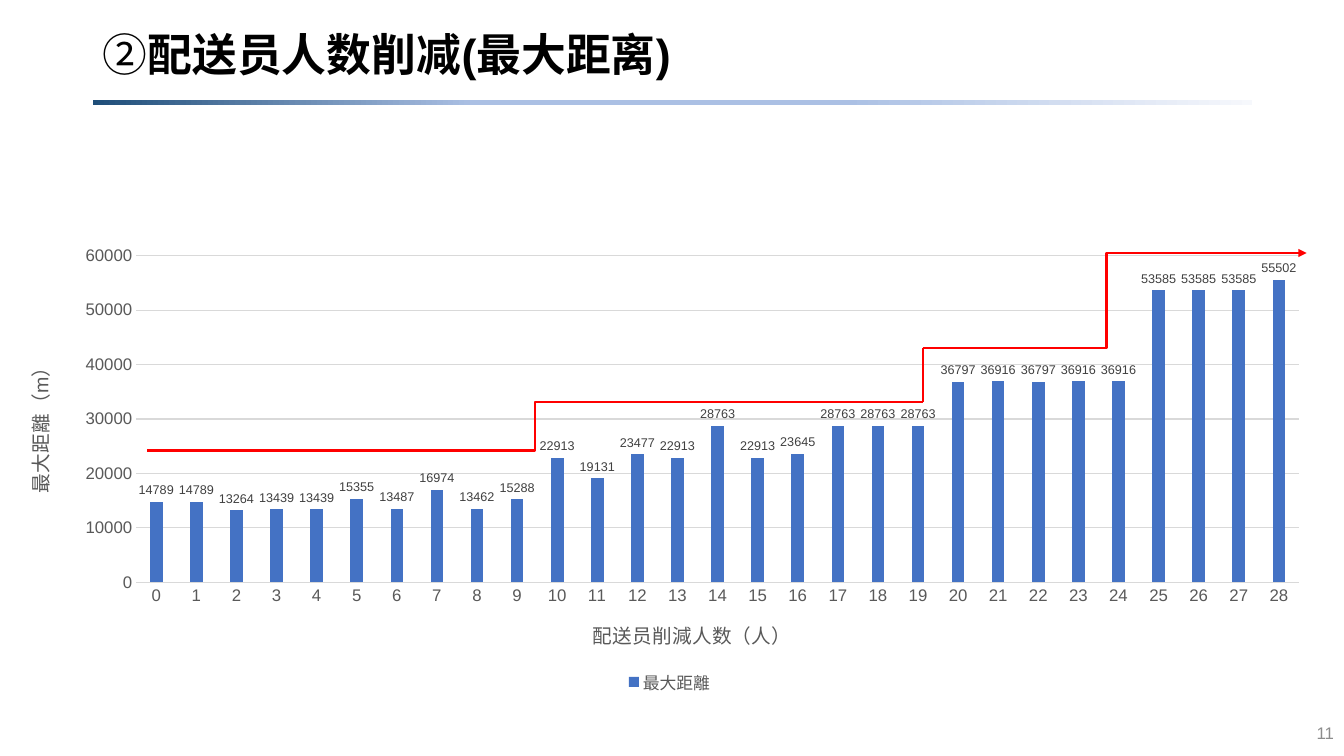
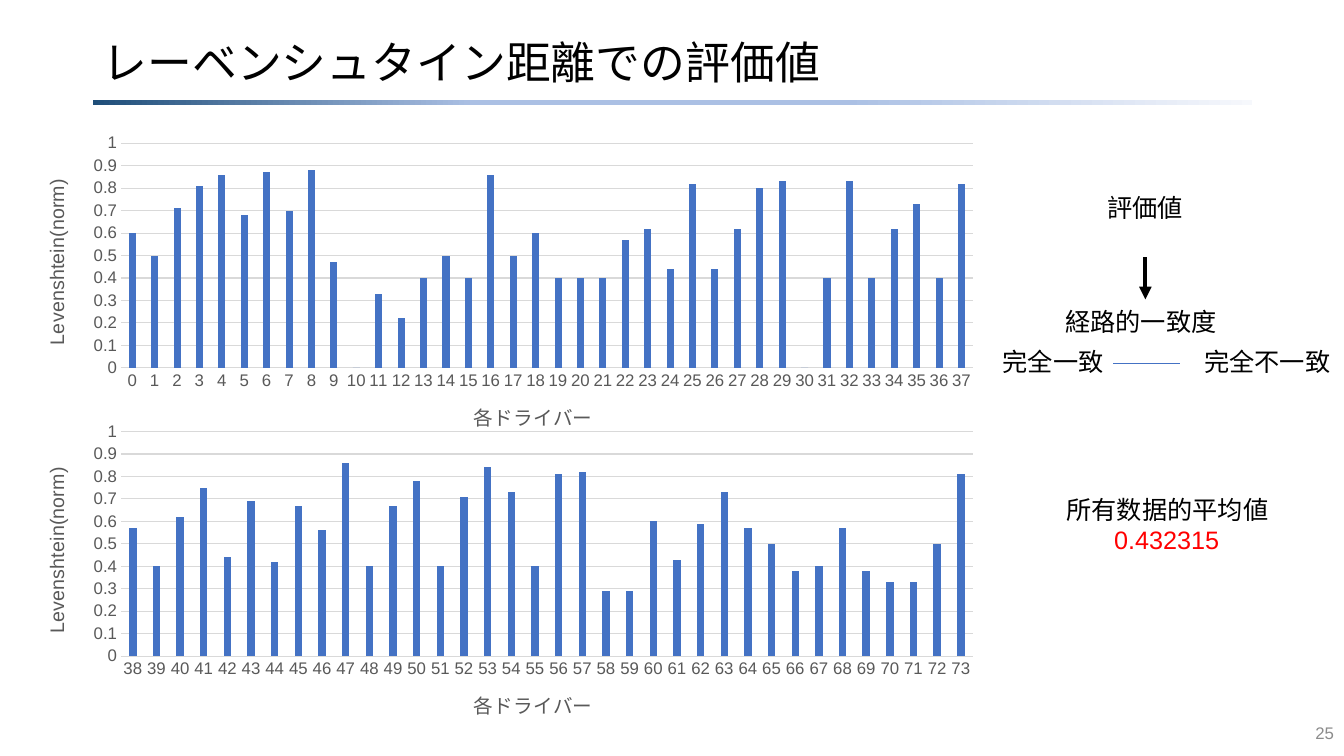
from dataclasses import dataclass

from pptx import Presentation
from pptx.chart.data import CategoryChartData
from pptx.dml.color import RGBColor
from pptx.enum.chart import XL_CHART_TYPE, XL_LABEL_POSITION, XL_LEGEND_POSITION, XL_TICK_MARK
from pptx.enum.shapes import MSO_CONNECTOR, MSO_SHAPE
from pptx.enum.text import MSO_ANCHOR, PP_ALIGN
from pptx.oxml import parse_xml
from pptx.oxml.ns import nsdecls, qn
from pptx.util import Inches, Pt

COLUMN = XL_CHART_TYPE.COLUMN_CLUSTERED
OUTER = XL_LABEL_POSITION.OUTSIDE_END
BOTTOM = XL_LEGEND_POSITION.BOTTOM
NO_TICK = XL_TICK_MARK.NONE
STRAIGHT, ELBOW = MSO_CONNECTOR.STRAIGHT, MSO_CONNECTOR.ELBOW
RECT = MSO_SHAPE.RECTANGLE
TOP, MIDDLE = MSO_ANCHOR.TOP, MSO_ANCHOR.MIDDLE
LEFT, CENTER, RIGHT = PP_ALIGN.LEFT, PP_ALIGN.CENTER, PP_ALIGN.RIGHT

FONT = "Arial"
BLACK, RED, BLUE = "000000", "FF0000", "4472C4"
GREY, PALE, DARK, FAINT = "595959", "D9D9D9", "404040", "8C8C8C"
BAND = [(0, "1F4E79"), (33, "ABC0E4"), (65, "ABC0E4"), (100, "F6F8FC")]


@dataclass
class Run:
    text: str
    size: float = 18
    color: str = BLACK
    bold: bool = False


@dataclass
class Para:
    runs: list[Run]
    align: int = CENTER
    space: float = 1.0
    tab: float = 0


@dataclass
class Box:
    left: float
    top: float
    width: float
    height: float
    paras: list[Para]
    anchor: int = TOP


@dataclass
class Link:
    start: tuple[float, float]
    end: tuple[float, float]
    color: str = RED
    width: float = 1.5
    kind: int = STRAIGHT
    arrow: bool = False


@dataclass
class Graph:
    frame: tuple[float, float, float, float]
    plot: tuple[float, float, float, float]
    name: str
    first: int
    values: list[float]
    titles: tuple[str, str]
    top: float
    step: float
    marked: bool = False


def tint(code: str) -> RGBColor:
    return RGBColor.from_string(code)


def apply(item, values: dict) -> None:
    for key, value in values.items():
        setattr(item, key, value)


def ink(font, size: float, color: str, bold: bool = False) -> None:
    apply(font, {"name": FONT, "size": Pt(size), "bold": bold})
    font.color.rgb = tint(color)


def add_box(slide, box: Box) -> None:
    shape = slide.shapes.add_textbox(*map(Inches, (box.left, box.top, box.width, box.height)))
    frame = shape.text_frame
    apply(frame, {"word_wrap": True, "vertical_anchor": box.anchor})
    for index, para in enumerate(box.paras):
        line = frame.add_paragraph() if index else frame.paragraphs[0]
        if para.tab:
            line._p.get_or_add_pPr().append(parse_xml(
                f'<a:tabLst {nsdecls("a")}><a:tab pos="{Inches(para.tab)}" algn="l"/></a:tabLst>'))
        apply(line, {"alignment": para.align, "line_spacing": para.space})
        for part in para.runs:
            run = line.add_run()
            run.text = part.text
            ink(run.font, part.size, part.color, part.bold)


def add_band(slide) -> None:
    band = slide.shapes.add_shape(RECT, *map(Inches, (0.92, 0.99, 11.5, 0.05)))
    band.shadow.inherit = False
    band.line.fill.background()
    band.fill.gradient()
    band.fill.gradient_angle = 0
    stops = band.element.spPr.find(qn("a:gradFill")).find(qn("a:gsLst"))
    for stop in list(stops):
        stops.remove(stop)
    for place, color in BAND:
        stops.append(parse_xml(
            f'<a:gs {nsdecls("a")} pos="{place * 1000}"><a:srgbClr val="{color}"/></a:gs>'))


def add_link(slide, link: Link) -> None:
    line = slide.shapes.add_connector(link.kind, *map(Inches, link.start + link.end))
    line.line.color.rgb = tint(link.color)
    line.line.width = Pt(link.width)
    props = line.element.spPr
    if link.arrow:
        props.find(qn("a:ln")).append(parse_xml(f'<a:tailEnd {nsdecls("a")} type="triangle"/>'))
    props.append(parse_xml(f'<a:effectLst {nsdecls("a")}/>'))


def set_plot(chart, plot: tuple[float, float, float, float]) -> None:
    area = chart.element.xpath("c:chart/c:plotArea")[0]
    for old in area.findall(qn("c:layout")):
        area.remove(old)
    sizes = "".join(f'<c:{key} val="{value}"/>' for key, value in zip("xywh", plot))
    area.insert(0, parse_xml(
        f'<c:layout {nsdecls("c")}><c:manualLayout><c:layoutTarget val="inner"/>'
        f'<c:xMode val="edge"/><c:yMode val="edge"/>{sizes}</c:manualLayout></c:layout>'))
    chart.element.find(qn("c:chart")).addnext(parse_xml(
        f'<c:spPr {nsdecls("c", "a")}><a:noFill/><a:ln><a:noFill/></a:ln></c:spPr>'))


def set_axis(axis, title: str, turn: int) -> None:
    apply(axis, {"major_tick_mark": NO_TICK, "minor_tick_mark": NO_TICK, "has_title": True})
    ink(axis.tick_labels.font, 12, GREY)
    frame = axis.axis_title.text_frame
    frame.text = title
    ink(frame.paragraphs[0].runs[0].font, 14, GREY)
    body = axis.axis_title.element.xpath(".//a:bodyPr")[0]
    body.set("rot", str(turn * 60000))
    body.set("vert", "horz")


def add_graph(slide, graph: Graph) -> None:
    data = CategoryChartData()
    data.categories = [str(graph.first + index) for index in range(len(graph.values))]
    data.add_series(graph.name, graph.values)
    chart = slide.shapes.add_chart(COLUMN, *map(Inches, graph.frame), data).chart
    apply(chart, {"has_title": False, "has_legend": graph.marked})
    ink(chart.font, 10, BLACK)
    set_plot(chart, graph.plot)
    plot = chart.plots[0]
    apply(plot, {"gap_width": 219, "overlap": -27, "vary_by_categories": False})
    fill = plot.series[0].format.fill
    fill.solid()
    fill.fore_color.rgb = tint(BLUE)

    base, scale = chart.category_axis, chart.value_axis
    set_axis(base, graph.titles[0], 0)
    set_axis(scale, graph.titles[1], -90)
    apply(scale, {"minimum_scale": 0, "maximum_scale": graph.top,
                  "major_unit": graph.step, "has_major_gridlines": True})
    scale.format.line.fill.background()
    for line in (base.format.line, scale.major_gridlines.format.line):
        line.color.rgb = tint(PALE)
        line.width = Pt(0.75)

    if graph.marked:
        apply(chart.legend, {"position": BOTTOM, "include_in_layout": False})
        ink(chart.legend.font, 12, GREY)
        plot.has_data_labels = True
        apply(plot.data_labels, {"show_value": True, "position": OUTER})
        ink(plot.data_labels.font, 9, DARK)


def add_page(deck, title: list[Run], top: float, number: int):
    slide = deck.slides.add_slide(deck.slide_layouts[6])
    add_band(slide)
    add_box(slide, Box(0.92, top, 11.5, 0.62, [Para(title, LEFT, 0.9)], MIDDLE))
    page = Run(str(number), 12, FAINT)
    add_box(slide, Box(10.33, 7.07, 3, 0.4, [Para([page], RIGHT)], MIDDLE))
    return slide


COUNTS = [14789, 14789, 13264, 13439, 13439, 15355, 13487, 16974, 13462, 15288,
          22913, 19131, 23477, 22913, 28763, 22913, 23645, 28763, 28763, 28763,
          36797, 36916, 36797, 36916, 36916, 53585, 53585, 53585, 55502]
NORMS = [0.6, 0.5, 0.71, 0.81, 0.86, 0.68, 0.87, 0.7, 0.88, 0.47, 0, 0.33, 0.22,
         0.4, 0.5, 0.4, 0.86, 0.5, 0.6, 0.4, 0.4, 0.4, 0.57, 0.62, 0.44, 0.82,
         0.44, 0.62, 0.8, 0.83, 0, 0.4, 0.83, 0.4, 0.62, 0.73, 0.4, 0.82,
         0.57, 0.4, 0.62, 0.75, 0.44, 0.69, 0.42, 0.67, 0.56, 0.86, 0.4, 0.67,
         0.78, 0.4, 0.71, 0.84, 0.73, 0.4, 0.81, 0.82, 0.29, 0.29, 0.6, 0.43,
         0.59, 0.73, 0.57, 0.5, 0.38, 0.4, 0.57, 0.38, 0.33, 0.33, 0.5, 0.81]
SPLIT = 38

STEPS = [
    Link((1.46, 4.47), (9.15, 3.99), kind=ELBOW),
    Link((9.15, 3.45), (12.8, 2.51), kind=ELBOW),
    Link((9.15, 3.45), (9.15, 3.99)),
    Link((11.73, 2.51), (12.96, 2.51), arrow=True),
]
NOTES = [
    Box(10.49, 1.86, 1.73, 0.4, [Para([Run("評価値")])]),
    Box(10.45, 2.99, 1.73, 0.4, [Para([Run("経路的一致度")])]),
    Box(9.44, 3.39, 4.26, 0.4, [Para([Run("完全一致\t完全不一致")], tab=2)]),
    Box(10.48, 4.85, 2.25, 0.71, [Para([Run("所有数据的平均値")], LEFT),
                                  Para([Run("0.432315 ", color=RED)])]),
]
LINKS = [
    Link((11.36, 2.55), (11.36, 2.97), BLACK, 3, arrow=True),
    Link((11.04, 3.6), (11.7, 3.6), BLUE, 0.5),
]


def main() -> None:
    deck = Presentation()
    apply(deck, {"slide_width": Inches(13.33), "slide_height": Inches(7.5)})

    title = [Run("②", 32), Run("配送员人数削减(最大距离)", 32, bold=True)]
    slide = add_page(deck, title, 0.26, 11)
    add_graph(slide, Graph((0.19, 1.97, 12.9, 4.96), (0.09, 0.114, 0.894, 0.654),
                           "最大距離", 0, COUNTS, ("配送员削減人数（人）", "最大距離（m）"),
                           60000, 10000, True))
    for link in STEPS:
        add_link(slide, link)

    slide = add_page(deck, [Run("レーベンシュタイン距離での評価値", 32)], 0.33, 25)
    for top, first, values in ((1.26, 0, NORMS[:SPLIT]), (4.12, SPLIT, NORMS[SPLIT:])):
        add_graph(slide, Graph((0.24, top, 9.6, 3.23), (0.1, 0.05, 0.88, 0.69),
                               "Series 1", first, values,
                               ("各ドライバー", "Levenshtein(norm)"), 1, 0.1))
    for note in NOTES:
        add_box(slide, note)
    for link in LINKS:
        add_link(slide, link)

    deck.save("out.pptx")


if __name__ == "__main__":
    main()
